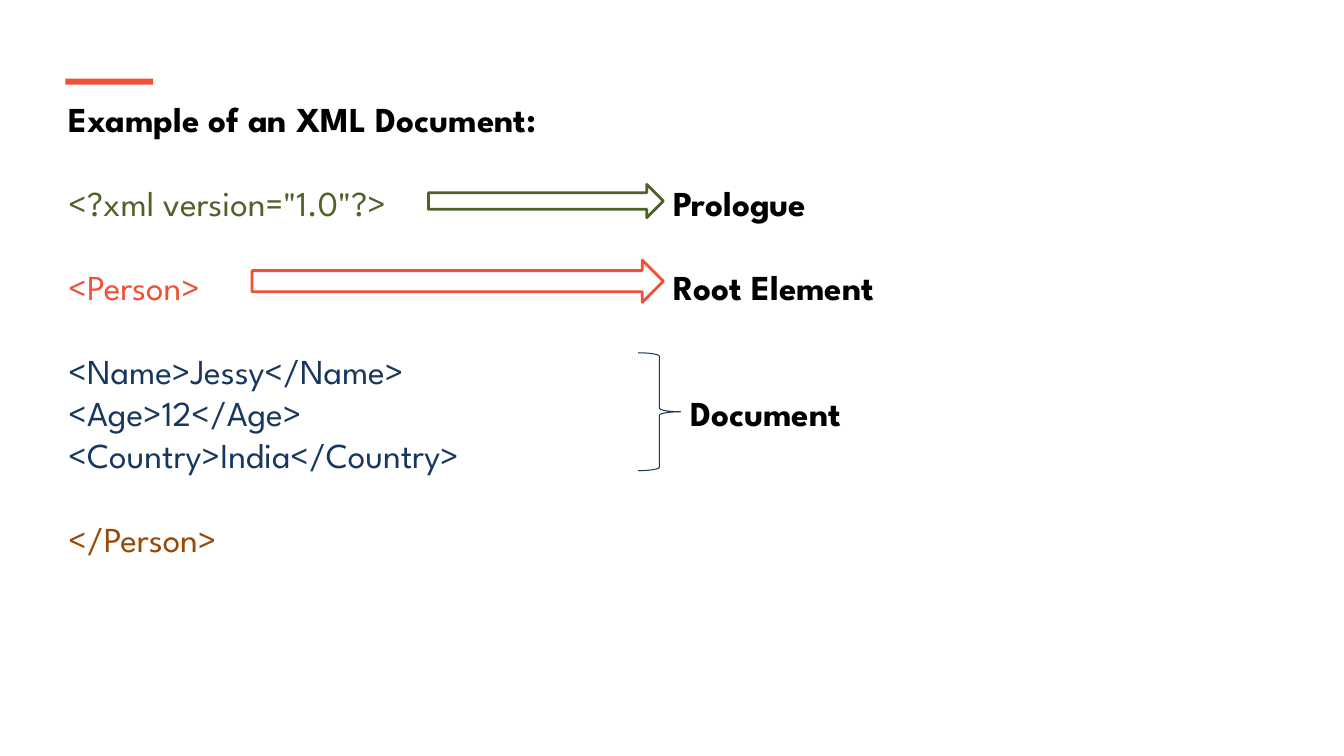
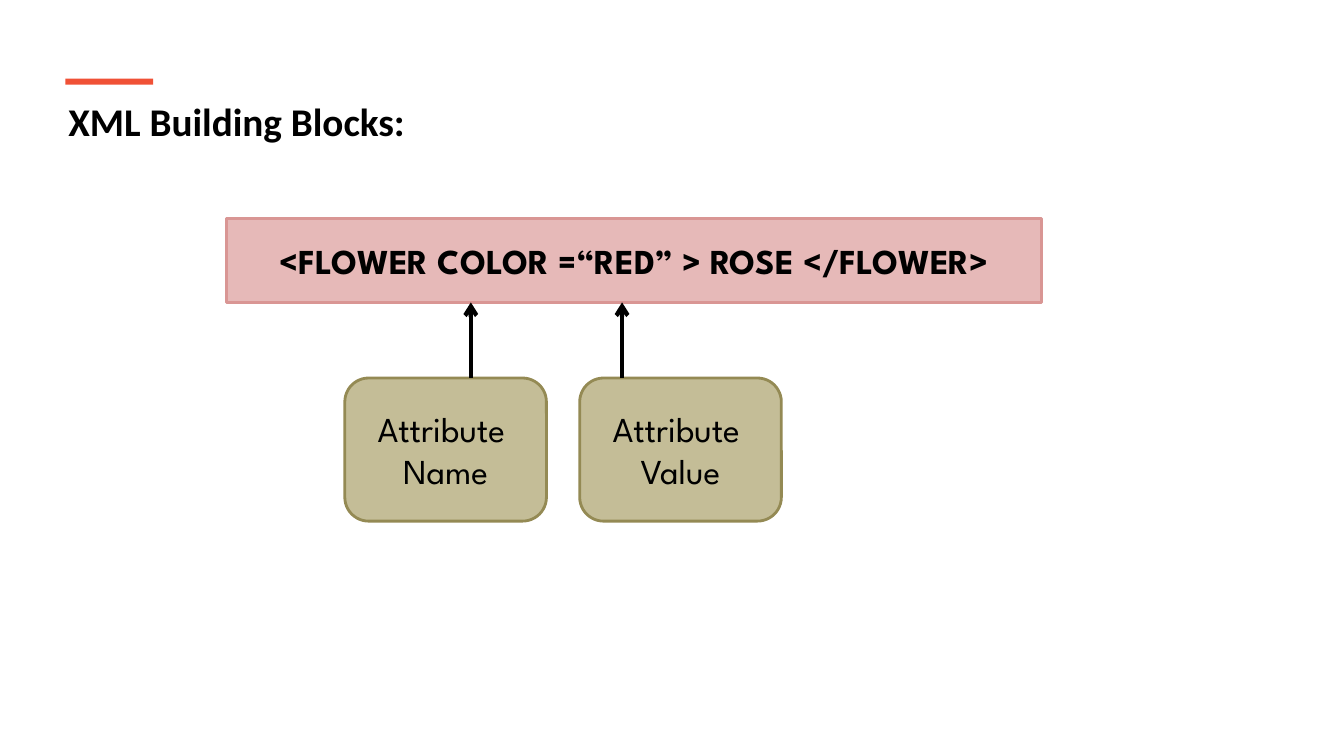
from lxml.etree import SubElement
from pptx import Presentation
from pptx.dml.color import RGBColor
from pptx.enum.shapes import MSO_CONNECTOR as Connector, MSO_SHAPE as Shape
from pptx.enum.text import MSO_ANCHOR as Anchor, PP_ALIGN as Align
from pptx.oxml.ns import qn
from pptx.util import Inches, Pt

BODY_FONT = "League Spartan"
TITLE_FONT = "Calibri"
BODY_SIZE = 25
LINE_PITCH = 30
BLACK = "000000"
ACCENT = "F05136"
GREEN = "4F6228"
NAVY = "17375E"
BROWN = "984807"
PINK, PINK_EDGE = "E6B9B8", "D99694"
TAN, TAN_EDGE = "C4BD97", "948A54"


def rgb(hex_colour):
    """Turn a hex string into a colour."""
    return RGBColor.from_string(hex_colour)


def style(paragraph, colour=BLACK, bold=False, size=BODY_SIZE, font=BODY_FONT):
    """Set the font of a whole paragraph."""
    paragraph.font.name = font
    paragraph.font.size = Pt(size)
    paragraph.font.bold = bold
    paragraph.font.color.rgb = rgb(colour)


def add_text(slide, left, top, width, height, text, **font):
    """Add a wrapped text box and return its frame."""
    box = slide.shapes.add_textbox(*map(Inches, (left, top, width, height)))
    frame = box.text_frame
    frame.word_wrap = True
    frame.text = text
    for paragraph in frame.paragraphs:
        style(paragraph, **font)
    return frame


def add_figure(slide, kind, left, top, width, height, fill=None, edge=None, weight=2):
    """Add a flat preset shape with an optional fill and outline."""
    figure = slide.shapes.add_shape(kind, *map(Inches, (left, top, width, height)))
    figure.shadow.inherit = False
    if fill:
        figure.fill.solid()
        figure.fill.fore_color.rgb = rgb(fill)
    else:
        figure.fill.background()
    if edge:
        figure.line.color.rgb = rgb(edge)
        figure.line.width = Pt(weight)
    else:
        figure.line.fill.background()
    return figure


def add_block(slide, kind, place, text, fill, edge, bold=False):
    """Add a filled block with centred text."""
    frame = add_figure(slide, kind, *place, fill=fill, edge=edge).text_frame
    frame.word_wrap = True
    frame.vertical_anchor = Anchor.MIDDLE
    frame.text = text
    for paragraph in frame.paragraphs:
        paragraph.alignment = Align.CENTER
        style(paragraph, bold=bold)


def add_up_arrow(slide, x, bottom, top):
    """Add a vertical line with an open arrowhead at its top."""
    arrow = slide.shapes.add_connector(
        Connector.STRAIGHT, Inches(x), Inches(bottom), Inches(x), Inches(top))
    arrow.line.color.rgb = rgb(BLACK)
    arrow.line.width = Pt(3)
    SubElement(arrow.line._get_or_add_ln(), qn("a:tailEnd"), type="arrow")
    SubElement(arrow._element.spPr, qn("a:effectLst"))


def add_titled_slide(deck, title, **font):
    """Add a blank slide with the accent bar and a bold title."""
    slide = deck.slides.add_slide(deck.slide_layouts[6])
    add_text(slide, 0.58, 0.92, 12.09, 0.52, title, bold=True, **font)
    add_figure(slide, Shape.RECTANGLE, 0.65, 0.78, 0.87, 0.06, fill=ACCENT)
    return slide


def add_code(slide, groups):
    """Add code in coloured groups set one line apart."""
    lines = [(line, colour) for group, colour in groups for line in group]
    openers = {group[0] for group, _ in groups[1:]}
    frame = add_text(slide, 0.58, 1.75, 12.09, 3.9, "\n".join(line for line, _ in lines))
    for paragraph, (line, colour) in zip(frame.paragraphs, lines):
        style(paragraph, colour)
        if line in openers:
            paragraph.space_before = Pt(LINE_PITCH)


def build_document_example(deck):
    """Build the slide that labels the parts of an XML document."""
    slide = add_titled_slide(deck, "Example of an XML Document:")
    add_code(slide, [
        (['<?xml version="1.0"?>'], GREEN),
        (["<Person>"], ACCENT),
        (["<Name>Jessy</Name>", "<Age>12</Age>", "<Country>India</Country>"], NAVY),
        (["</Person>"], BROWN),
    ])
    add_figure(slide, Shape.RIGHT_BRACE, 6.33, 3.5, 0.42, 1.17, edge=NAVY, weight=0.75)
    add_figure(slide, Shape.RIGHT_ARROW, 2.5, 2.58, 4.08, 0.42, edge=ACCENT)
    add_figure(slide, Shape.RIGHT_ARROW, 4.25, 1.83, 2.33, 0.33, edge=GREEN)
    for label, left, top in (("Prologue", 6.58, 1.75), ("Root Element", 6.58, 2.58),
                             ("Document", 6.75, 3.83)):
        add_text(slide, left, top, 3.33, 0.52, label, bold=True)


def build_building_blocks(deck):
    """Build the slide that names the parts of an XML attribute."""
    slide = add_titled_slide(deck, "XML Building Blocks:", size=28, font=TITLE_FONT)
    add_block(slide, Shape.RECTANGLE, (2.25, 2.17, 8.08, 0.83),
              "<FLOWER COLOR =“RED” > ROSE </FLOWER>", PINK, PINK_EDGE, bold=True)
    for part, left, arrow_x in (("Name", 3.42, 4.67), ("Value", 5.75, 6.17)):
        add_block(slide, Shape.ROUNDED_RECTANGLE, (left, 3.75, 2, 1.42),
                  f"Attribute \n{part}", TAN, TAN_EDGE)
        add_up_arrow(slide, arrow_x, 3.75, 3)


def main():
    """Build and save the deck."""
    deck = Presentation()
    deck.slide_width = Inches(13.33)
    deck.slide_height = Inches(7.5)
    build_document_example(deck)
    build_building_blocks(deck)
    deck.save("out.pptx")


if __name__ == "__main__":
    main()
